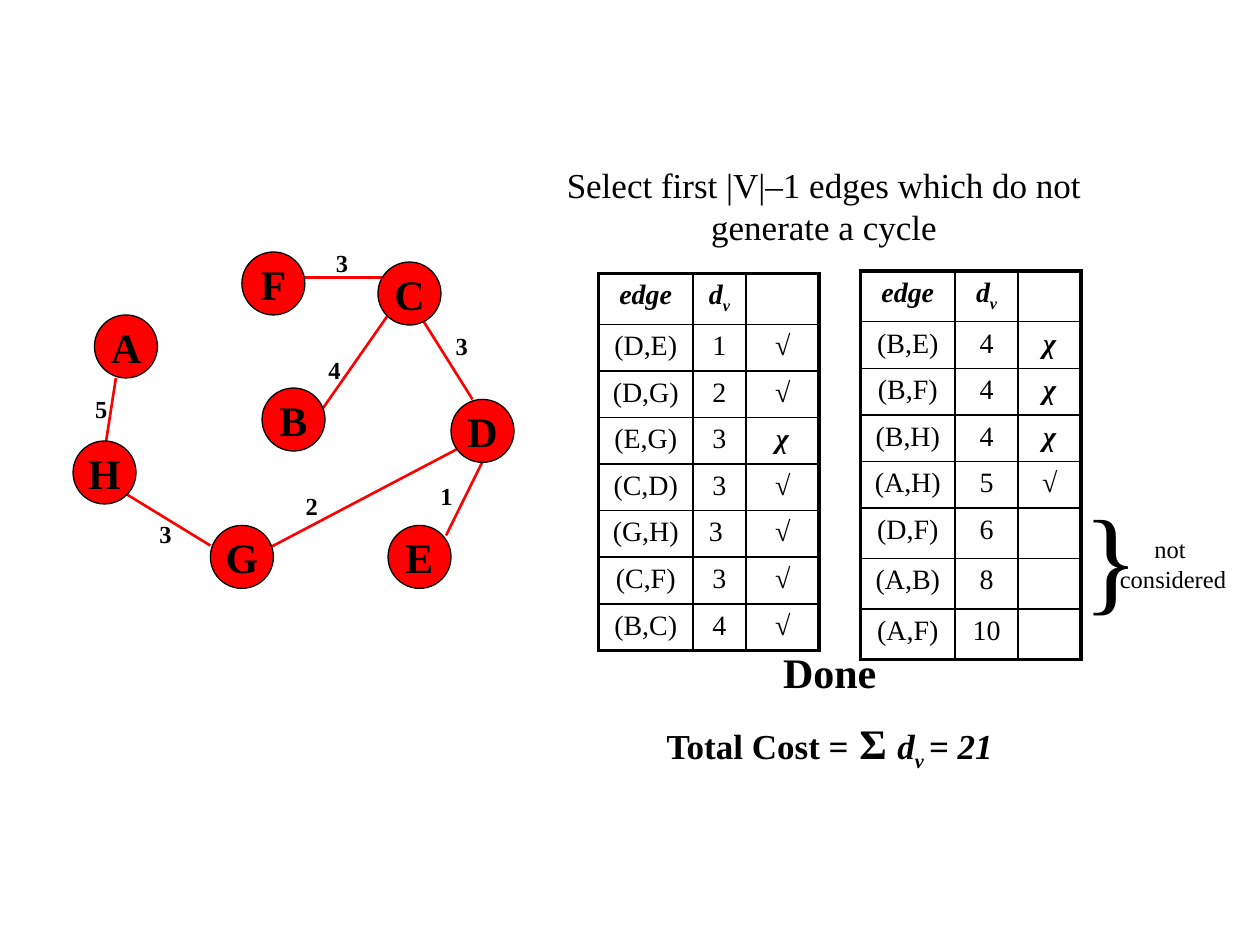
from dataclasses import dataclass

from lxml.etree import SubElement
from pptx import Presentation
from pptx.dml.color import RGBColor
from pptx.enum.shapes import MSO_CONNECTOR, MSO_SHAPE
from pptx.enum.text import MSO_ANCHOR, MSO_AUTO_SIZE, PP_ALIGN
from pptx.oxml.ns import qn
from pptx.util import Inches, Pt


@dataclass(frozen=True)
class Theme:
    font: str = "Times New Roman"
    ink: RGBColor = RGBColor(0, 0, 0)
    red: RGBColor = RGBColor(255, 0, 0)
    label_size: int = 14
    table_size: int = 16
    body_size: int = 20
    node_size: int = 24
    brace_size: int = 66
    edge_width: float = 1.5
    node_outline: float = 0.75
    inner_border: float = 1
    outer_border: float = 2.25


THEME = Theme()
NODE_SIZE = 0.5
LABEL_SIZE = 0.33
HEADER_HEIGHT, ROW_HEIGHT = 0.4, 0.37

NODES = {
    "A": (0.75, 2.5), "H": (0.58, 3.5), "B": (2.08, 3.08), "F": (1.92, 2),
    "E": (3.08, 4.17), "D": (3.58, 3.17), "C": (3, 2.08), "G": (1.67, 4.17),
}

# Start, end, weight, left and top of the weight label
EDGES = [
    ((3.95, 3.42), (3.54, 4.25), "1", (3.38, 3.77)),
    ((2.5, 3.33), (3.08, 2.5), "4", (2.49, 2.77)),
    ((2, 4.42), (3.75, 3.5), "2", (2.31, 3.85)),
    ((0.83, 3.58), (0.92, 3), "5", (0.64, 3.08)),
    ((2.38, 2.2), (3.05, 2.2), "3", (2.55, 1.92)),
    ((3.33, 2.5), (3.75, 3.17), "3", (3.5, 2.58)),
    ((1.67, 4.33), (1, 3.92), "3", (1.15, 4.07)),
]

FIRST_EDGES = [
    ("(D,E)", "1", "√"), ("(D,G)", "2", "√"), ("(E,G)", "3", "χ"),
    ("(C,D)", "3", "√"), ("(G,H)", "3 ", "√"), ("(C,F)", "3", "√"),
    ("(B,C)", "4", "√"),
]
LAST_EDGES = [
    ("(B,E)", "4", "χ"), ("(B,F)", "4", "χ"), ("(B,H)", "4", "χ"),
    ("(A,H)", "5", "√"), ("(D,F)", "6", ""), ("(A,B)", "8", ""),
    ("(A,F)", "10", ""),
]


def write(paragraph, text, size, bold=False, italic=False, subscript=False):
    run = paragraph.add_run()
    run.text = text
    font = run.font
    font.name, font.size = THEME.font, Pt(size)
    font.bold, font.italic = bold, italic
    font.color.rgb = THEME.ink
    if subscript:
        run._r.get_or_add_rPr().set("baseline", "-25000")


def center(paragraph, percent_before=0):
    """Centre the paragraph, with space before it as a share of its type size."""
    paragraph.alignment = PP_ALIGN.CENTER
    if percent_before:
        spacing = SubElement(paragraph._p.get_or_add_pPr(), qn("a:spcBef"))
        SubElement(spacing, qn("a:spcPct")).set("val", str(percent_before * 1000))
    return paragraph


def add_text_box(slide, left, top, width, height):
    box = slide.shapes.add_textbox(
        Inches(left), Inches(top), Inches(width), Inches(height))
    frame = box.text_frame
    frame.word_wrap = True
    frame.auto_size = MSO_AUTO_SIZE.SHAPE_TO_FIT_TEXT
    return frame


def add_caption(slide, text, left, top, width, height, **text_format):
    frame = add_text_box(slide, left, top, width, height)
    write(center(frame.paragraphs[0], 50), text, **text_format)


def add_edge(slide, start, end):
    points = [Inches(value) for value in (*start, *end)]
    connector = slide.shapes.add_connector(MSO_CONNECTOR.STRAIGHT, *points)
    connector.line.color.rgb = THEME.red
    connector.line.width = Pt(THEME.edge_width)
    SubElement(connector._element.spPr, qn("a:effectLst"))


def add_node(slide, name, left, top):
    node = slide.shapes.add_shape(
        MSO_SHAPE.OVAL, Inches(left), Inches(top),
        Inches(NODE_SIZE), Inches(NODE_SIZE))
    node.shadow.inherit = False
    node.fill.solid()
    node.fill.fore_color.rgb = THEME.red
    node.line.color.rgb = THEME.ink
    node.line.width = Pt(THEME.node_outline)
    frame = node.text_frame
    frame.word_wrap = False
    frame.vertical_anchor = MSO_ANCHOR.MIDDLE
    write(center(frame.paragraphs[0], 20), name, THEME.node_size, bold=True)


def set_borders(cell, outer_sides):
    properties = cell._tc.get_or_add_tcPr()
    for side in "LRTB":
        width = THEME.outer_border if side in outer_sides else THEME.inner_border
        line = SubElement(properties, qn(f"a:ln{side}"), w=str(Pt(width)))
        fill = SubElement(line, qn("a:solidFill"))
        SubElement(fill, qn("a:srgbClr"), val=str(THEME.ink))


def add_edge_table(slide, left, top, widths, edges):
    rows = [("edge", "d", ""), *edges]
    heights = [HEADER_HEIGHT] + [ROW_HEIGHT] * len(edges)
    graphic = slide.shapes.add_table(
        len(rows), len(widths), Inches(left), Inches(top),
        Inches(sum(widths)), Inches(sum(heights)))
    table = graphic.table
    table.first_row = table.horz_banding = False
    for column, width in zip(table.columns, widths):
        column.width = Inches(width)
    for row, height in zip(table.rows, heights):
        row.height = Inches(height)

    last_row, last_column = len(rows) - 1, len(widths) - 1
    for r, values in enumerate(rows):
        for c, value in enumerate(values):
            cell = table.cell(r, c)
            sides = {"T": r == 0, "B": r == last_row,
                     "L": c == 0, "R": c == last_column}
            set_borders(cell, [side for side, outer in sides.items() if outer])
            cell.fill.background()
            emphasis = r == 0 or c == last_column
            paragraph = center(cell.text_frame.paragraphs[0], 20)
            write(paragraph, value, THEME.table_size, emphasis, emphasis)
            if value == "d":
                write(paragraph, "v", THEME.table_size, True, True, subscript=True)


def add_result(slide):
    frame = add_text_box(slide, 5, 5.08, 3.17, 1.6)
    write(center(frame.paragraphs[0], 50), "Done", THEME.node_size, bold=True)
    total = center(frame.add_paragraph(), 50)
    write(total, "Total Cost =", THEME.body_size, bold=True)
    write(total, " Σ ", THEME.node_size, bold=True)
    write(total, "d", THEME.body_size, bold=True, italic=True)
    write(total, "v ", THEME.body_size, bold=True, italic=True, subscript=True)
    write(total, "= 21", THEME.body_size, bold=True, italic=True)


def add_remainder_note(slide):
    add_caption(slide, "}", 8.5, 3.8, 0.5, 1.2, size=THEME.brace_size)
    frame = add_text_box(slide, 8.77, 4.19, 1.08, 0.57)
    write(center(frame.paragraphs[0]), "not ", THEME.label_size)
    write(center(frame.add_paragraph()), "considered", THEME.label_size)


def main():
    presentation = Presentation()
    presentation.slide_width, presentation.slide_height = Inches(10), Inches(7.5)
    slide = presentation.slides.add_slide(presentation.slide_layouts[6])

    add_caption(slide, "Select first |V|–1 edges which do not generate a cycle",
                4.33, 1.25, 4.42, 0.77, size=THEME.body_size)
    add_edge_table(slide, 4.75, 2.17, (0.75, 0.42, 0.58), FIRST_EDGES)
    add_edge_table(slide, 6.83, 2.15, (0.75, 0.5, 0.5), LAST_EDGES)

    for start, end, _, _ in EDGES:
        add_edge(slide, start, end)
    for name, position in NODES.items():
        add_node(slide, name, *position)
    for _, _, weight, position in EDGES:
        add_caption(slide, weight, *position, LABEL_SIZE, LABEL_SIZE,
                    size=THEME.label_size, bold=True)

    add_result(slide)
    add_remainder_note(slide)
    presentation.save("out.pptx")


if __name__ == "__main__":
    main()
